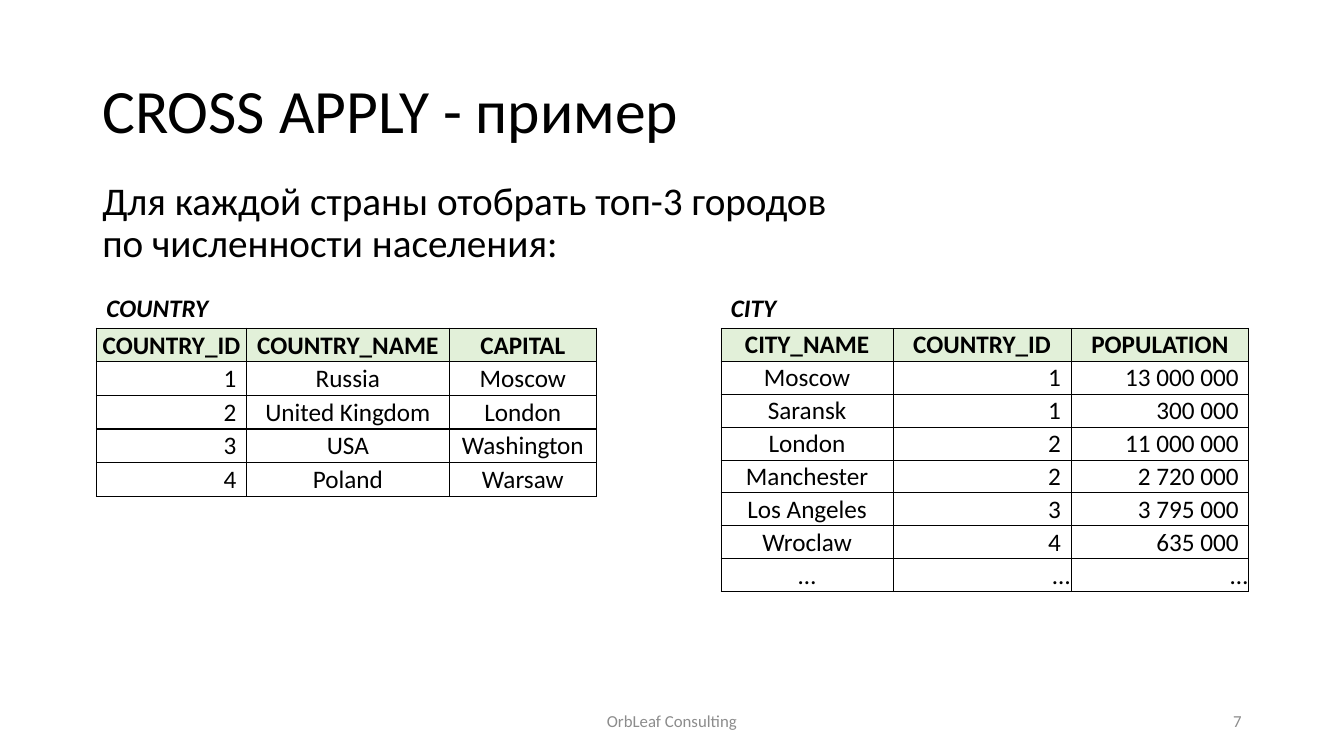
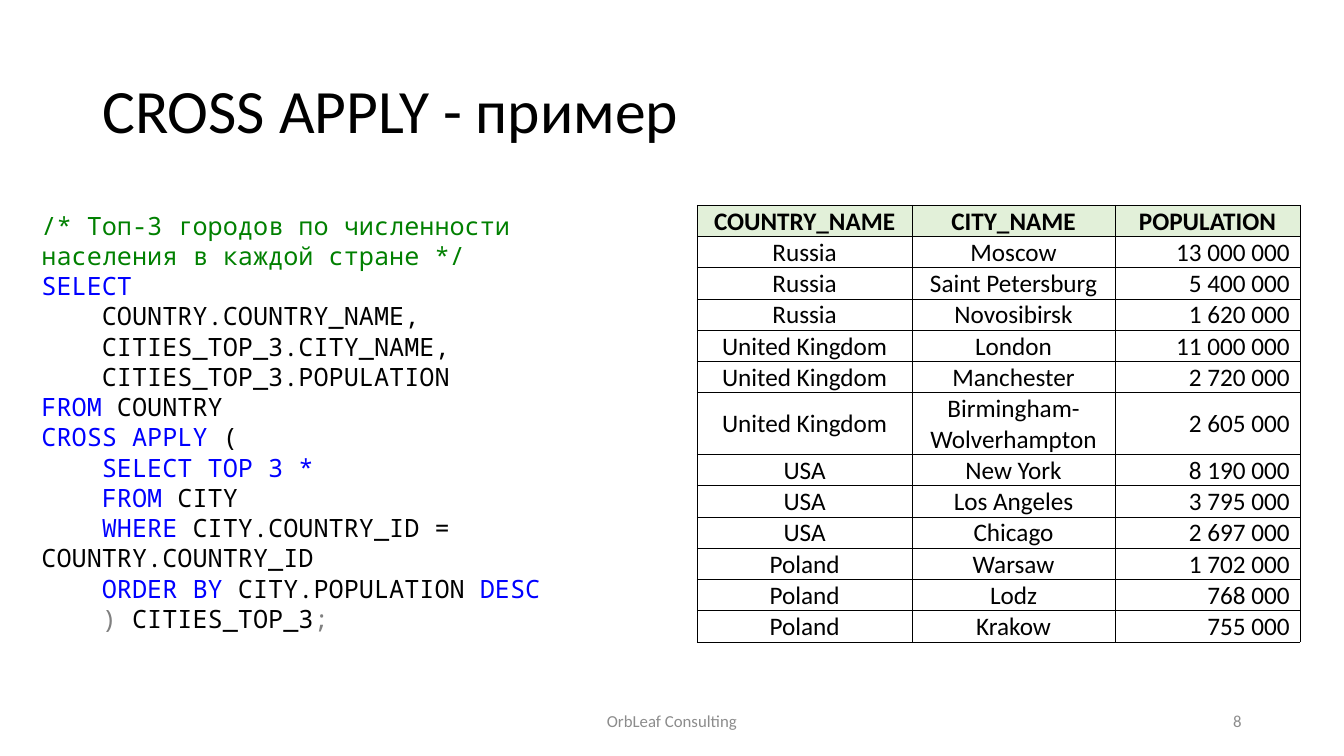
import pptx
import pptx.dml.color
import pptx.enum.text
import pptx.oxml
import pptx.oxml.ns
import pptx.util

Pt = pptx.util.Pt
RGBColor = pptx.dml.color.RGBColor
PP_ALIGN = pptx.enum.text.PP_ALIGN
MSO_ANCHOR = pptx.enum.text.MSO_ANCHOR

BLACK = RGBColor(0x00, 0x00, 0x00)
FOOTER_GRAY = RGBColor(0x8C, 0x8C, 0x8C)
HEADER_GREEN = RGBColor(0xE2, 0xF0, 0xD9)
COMMENT_GREEN = RGBColor(0x00, 0x80, 0x00)
KEYWORD_BLUE = RGBColor(0x00, 0x00, 0xFF)
SYMBOL_GRAY = RGBColor(0x80, 0x80, 0x80)
BODY_FONT = "Calibri"
CODE_FONT = "Noto Sans Mono"
CODE_INDENT = 43.2
CELL_INSET = 0.72
NUMBER_INSET = 7.2
ALIGNMENTS = {"l": PP_ALIGN.LEFT, "c": PP_ALIGN.CENTER, "r": PP_ALIGN.RIGHT}

TITLE = "CROSS APPLY - пример"
FOOTER = "OrbLeaf Consulting"
TASK = "Для каждой страны отобрать топ-3 городов по численности населения:"

COUNTRY = [
    ("COUNTRY_ID", "COUNTRY_NAME", "CAPITAL"),
    ("1", "Russia", "Moscow"),
    ("2", "United Kingdom", "London"),
    ("3", "USA", "Washington"),
    ("4", "Poland", "Warsaw"),
]
CITY = [
    ("CITY_NAME", "COUNTRY_ID", "POPULATION"),
    ("Moscow", "1", "13 000 000"),
    ("Saransk", "1", "300 000"),
    ("London", "2", "11 000 000"),
    ("Manchester", "2", "2 720 000"),
    ("Los Angeles", "3", "3 795 000"),
    ("Wroclaw", "4", "635 000"),
    ("…", "…", "…"),
]
TOP_CITIES = [
    ("COUNTRY_NAME", "CITY_NAME", "POPULATION"),
    ("Russia", "Moscow", "13 000 000"),
    ("Russia", "Saint Petersburg", "5 400 000"),
    ("Russia", "Novosibirsk", "1 620 000"),
    ("United Kingdom", "London", "11 000 000"),
    ("United Kingdom", "Manchester", "2 720 000"),
    ("United Kingdom", "Birmingham-Wolverhampton", "2 605 000"),
    ("USA", "New York", "8 190 000"),
    ("USA", "Los Angeles", "3 795 000"),
    ("USA", "Chicago", "2 697 000"),
    ("Poland", "Warsaw", "1 702 000"),
    ("Poland", "Lodz", "768 000"),
    ("Poland", "Krakow", "755 000"),
]
QUERY = [
    (0, [("/* Топ-3 городов по численности", COMMENT_GREEN)]),
    (0, [("населения в каждой стране */", COMMENT_GREEN)]),
    (0, [("SELECT", KEYWORD_BLUE)]),
    (1, [("COUNTRY.COUNTRY_NAME,", BLACK)]),
    (1, [("CITIES_TOP_3.CITY_NAME,", BLACK)]),
    (1, [("CITIES_TOP_3.POPULATION", BLACK)]),
    (0, [("FROM ", KEYWORD_BLUE), ("COUNTRY", BLACK)]),
    (0, [("CROSS APPLY ", KEYWORD_BLUE), ("(", BLACK)]),
    (1, [("SELECT TOP 3 *", KEYWORD_BLUE)]),
    (1, [("FROM", KEYWORD_BLUE), (" CITY", BLACK)]),
    (1, [("WHERE", KEYWORD_BLUE), (" CITY.COUNTRY_ID = COUNTRY.COUNTRY_ID", BLACK)]),
    (1, [("ORDER BY ", KEYWORD_BLUE), ("CITY.POPULATION ", BLACK), ("DESC", KEYWORD_BLUE)]),
    (1, [(")", SYMBOL_GRAY), (" CITIES_TOP_3", BLACK), (";", SYMBOL_GRAY)]),
]


def style_run(run, size, color=BLACK, font=BODY_FONT, bold=False, italic=False):
    run.font.size = Pt(size)
    run.font.name = font
    run.font.color.rgb = color
    run.font.bold = bold
    run.font.italic = italic


def add_text_frame(slide, box, anchor=MSO_ANCHOR.TOP, wrap=True):
    text_frame = slide.shapes.add_textbox(*map(Pt, box)).text_frame
    text_frame.word_wrap = wrap
    text_frame.vertical_anchor = anchor
    return text_frame


def add_text(slide, text, box, size, align="l", anchor=MSO_ANCHOR.TOP, wrap=True,
             spacing=1.0, before=0, **style):
    text_frame = add_text_frame(slide, box, anchor, wrap)
    text_frame.text = text
    paragraph = text_frame.paragraphs[0]
    paragraph.alignment = ALIGNMENTS[align]
    paragraph.line_spacing = spacing
    paragraph.space_before = Pt(before)
    style_run(paragraph.runs[0], size, **style)


def add_slide(presentation, number):
    slide = presentation.slides.add_slide(presentation.slide_layouts[6])
    middle = MSO_ANCHOR.MIDDLE
    add_text(slide, TITLE, (66, 28.75, 828, 104.4), 44, anchor=middle, spacing=0.9)
    add_text(slide, FOOTER, (318, 500.5, 324, 28.75), 12, "c", middle, color=FOOTER_GRAY)
    add_text(slide, str(number), (678, 500.5, 216, 28.75), 12, "r", middle, color=FOOTER_GRAY)
    return slide


def add_borders(cell, width):
    properties = cell._tc.get_or_add_tcPr()
    for side in ("lnL", "lnR", "lnT", "lnB"):
        properties.append(pptx.oxml.parse_xml(
            f'<a:{side} {pptx.oxml.ns.nsdecls("a")} w="{int(Pt(width))}">'
            f'<a:solidFill><a:srgbClr val="{BLACK}"/></a:solidFill></a:{side}>'))


def fill_cell(cell, text, align, header, border):
    cell.text = text
    cell.vertical_anchor = MSO_ANCHOR.MIDDLE
    cell.margin_left = cell.margin_top = Pt(CELL_INSET)
    cell.margin_bottom = Pt(0)
    numeric = align == "r" and text[0].isdigit()
    cell.margin_right = Pt(NUMBER_INSET if numeric else CELL_INSET)
    add_borders(cell, border)
    if header:
        cell.fill.solid()
        cell.fill.fore_color.rgb = HEADER_GREEN
    else:
        cell.fill.background()
    paragraph = cell.text_frame.paragraphs[0]
    paragraph.alignment = ALIGNMENTS["c" if header else align]
    style_run(paragraph.runs[0], 18, bold=header)


def add_data_table(slide, rows, left, top, widths, row_height, aligns, border=0.5, tall_rows=()):
    heights = [row_height * (2 if index in tall_rows else 1) for index in range(len(rows))]
    table = slide.shapes.add_table(
        len(rows), len(widths), Pt(left), Pt(top), Pt(sum(widths)), Pt(sum(heights))).table
    table.horz_banding = False
    for column, width in zip(table.columns, widths):
        column.width = Pt(width)
    for row_index, values in enumerate(rows):
        table.rows[row_index].height = Pt(heights[row_index])
        for column_index, text in enumerate(values):
            fill_cell(table.cell(row_index, column_index), text, aligns[column_index],
                      row_index == 0, border)


def add_code(slide, lines, box):
    text_frame = add_text_frame(slide, box)
    for index, (level, pieces) in enumerate(lines):
        paragraph = text_frame.add_paragraph() if index else text_frame.paragraphs[0]
        properties = paragraph._p.get_or_add_pPr()
        properties.set("marL", "0")
        properties.set("indent", str(int(Pt(level * CODE_INDENT))))
        for text, color in pieces:
            run = paragraph.add_run()
            run.text = text
            style_run(run, 18, color, CODE_FONT)


presentation = pptx.Presentation()
presentation.slide_width = Pt(960)
presentation.slide_height = Pt(540)

tables_slide = add_slide(presentation, 7)
add_text(tables_slide, TASK, (66, 126, 539.5, 74), 28, spacing=0.9, before=10)
for name, rows, left, widths, row_height, aligns, border in (
    ("COUNTRY", COUNTRY, 69, (107, 145, 105), 24, "rcc", 1),
    ("CITY", CITY, 515, (123, 127, 127), 23.5, "crr", 0.5),
):
    add_text(tables_slide, name, (left, 205.5, 88, 29), 18, wrap=False, bold=True, italic=True)
    add_data_table(tables_slide, rows, left, 234.5, widths, row_height, aligns, border)

query_slide = add_slide(presentation, 8)
add_code(query_slide, QUERY, (22.5, 146.5, 485, 291))
add_data_table(query_slide, TOP_CITIES, 498, 146.5, (153.5, 145, 132), 22, "ccr", tall_rows=(6,))

presentation.save("out.pptx")
